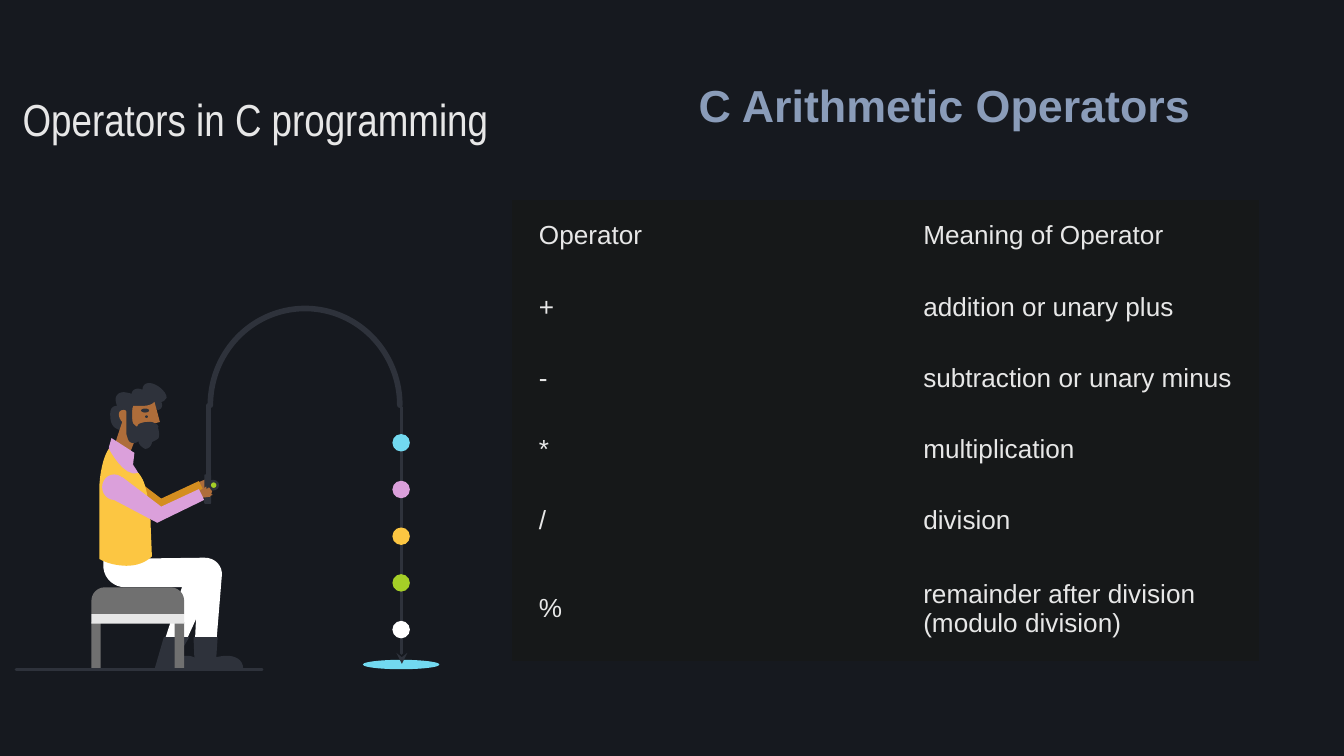
from dataclasses import dataclass

from lxml import etree
from pptx import Presentation
from pptx.dml.color import RGBColor
from pptx.enum.shapes import MSO_CONNECTOR, MSO_SHAPE
from pptx.enum.text import MSO_ANCHOR
from pptx.oxml.ns import qn
from pptx.util import Inches, Pt

RECT, OVAL, ARC = MSO_SHAPE.RECTANGLE, MSO_SHAPE.OVAL, MSO_SHAPE.ARC
ROUNDED = MSO_SHAPE.ROUNDED_RECTANGLE
ROUND_TOP = MSO_SHAPE.ROUND_2_SAME_RECTANGLE
STRAIGHT = MSO_CONNECTOR.STRAIGHT
MIDDLE = MSO_ANCHOR.MIDDLE
NO_TABLE_STYLE = "{2D5ABB26-0587-4C30-8999-92F81FD0307C}"
CURVE_STEPS = 8

COLORS = {
    "night": "16191F", "cell": "161819", "light": "E7E7E7", "steel": "8A9CB9",
    "dark": "2E323B", "skin": "AE6D3A", "white": "FFFFFF", "ochre": "D48E20",
    "yellow": "FCC642", "pink": "DBA0DB", "cyan": "72D9F0", "green": "A5CF27",
    "gray": "707070",
}


@dataclass(frozen=True)
class Outline:
    """Closed outline: a pair is a straight step, six numbers are a cubic curve."""
    color: str
    steps: tuple
    dy: float = 0
    rotation: float = 0


@dataclass(frozen=True)
class Preset:
    kind: int
    color: str
    x: float
    y: float
    w: float
    h: float
    corner: float | None = None


@dataclass(frozen=True)
class Stroke:
    start: tuple
    end: tuple
    width: float
    arrow: bool = False


ARM = ((0.91, 3.49), (0.81, 3.64), (1.17, 3.83), (1.52, 3.66), (1.48, 3.58), (1.2, 3.71))
HAND = ((1.54, 3.56), (1.53, 3.57, 1.49, 3.58, 1.48, 3.59), (1.49, 3.64), (1.56, 3.64),
        (1.56, 3.63, 1.58, 3.63, 1.58, 3.63), (1.57, 3.62), (1.58, 3.6), (1.57, 3.59),
        (1.57, 3.58, 1.56, 3.57, 1.56, 3.57), (1.54, 3.58))
BACK_LEG = ((1.38, 4.29), (1.22, 4.78), (1.38, 4.78), (1.58, 4.34))
BACK_BOOT = ((1.22, 4.74), (1.15, 4.98), (1.49, 4.98),
             (1.49, 4.9, 1.44, 4.88, 1.39, 4.88), (1.35, 4.88, 1.32, 4.89, 1.32, 4.89),
             (1.41, 4.74))
FRONT_LEG = ((1.52, 4.15), (0.77, 4.16), (0.77, 4.23), (0.78, 4.31, 0.85, 4.37, 0.93, 4.37),
             (1.47, 4.37), (1.45, 4.78), (1.61, 4.78), (1.65, 4.29),
             (1.66, 4.21, 1.6, 4.15, 1.52, 4.15))
FRONT_BOOT = ((1.44, 4.74), (1.45, 4.98), (1.81, 4.98),
              (1.81, 4.9, 1.74, 4.88, 1.69, 4.88), (1.65, 4.88, 1.61, 4.89, 1.61, 4.89),
              (1.62, 4.74))
HAIR = ((1.11, 2.85), (1.08, 2.85, 1.06, 2.87, 1.06, 2.9), (1.02, 2.88, 0.98, 2.9, 0.98, 2.93),
        (0.94, 2.92, 0.91, 2.91, 0.88, 2.93), (0.85, 2.96, 0.86, 2.98, 0.87, 3.02),
        (0.83, 3.02, 0.82, 3.05, 0.82, 3.08), (0.82, 3.14, 0.83, 3.18, 0.89, 3.2),
        (0.92, 3.2, 0.95, 3.19, 0.96, 3.18), (0.99, 3.15, 0.99, 3.11, 0.98, 3.07),
        (1.06, 3.06), (1.08, 3.05, 1.11, 3.04, 1.13, 3.04), (1.18, 3.05),
        (1.21, 3.04, 1.21, 3.01, 1.2, 2.99), (1.22, 2.99, 1.23, 2.97, 1.24, 2.96),
        (1.24, 2.91, 1.16, 2.85, 1.11, 2.85))
FACE = ((1.15, 2.99), (1.12, 3.02, 1.08, 3.02, 1.05, 3.02), (0.99, 3.02), (0.96, 3.09),
        (0.95, 3.07, 0.94, 3.05, 0.92, 3.05), (0.87, 3.05, 0.88, 3.11, 0.91, 3.14),
        (0.85, 3.32), (0.85, 3.32, 0.88, 3.41, 0.93, 3.41), (0.94, 3.41, 0.95, 3.4, 0.96, 3.39),
        (1.01, 3.26), (1.16, 3.26), (1.15, 3.15), (1.19, 3.14))
BEARD = ((0.94, 3.02), (0.94, 3.23), (0.95, 3.25, 0.95, 3.28, 0.97, 3.29),
         (0.98, 3.3, 1.02, 3.3, 1.03, 3.28), (1.03, 3.31, 1.06, 3.33, 1.08, 3.34),
         (1.11, 3.34, 1.13, 3.31, 1.13, 3.29), (1.15, 3.28, 1.17, 3.27, 1.18, 3.26),
         (1.19, 3.23, 1.18, 3.16, 1.15, 3.15), (1.13, 3.14, 1.11, 3.13, 1.09, 3.15),
         (1.06, 3.18, 1.03, 3.2, 0.99, 3.15), (0.98, 3.13, 0.98, 3.04, 0.99, 3.02))
SHIRT = ((0.83, 3.3), (0.78, 3.39, 0.75, 3.5, 0.75, 3.61), (0.75, 3.89), (1.11, 3.89),
         (1.11, 3.79), (1.1, 3.7, 1.08, 3.62, 1.03, 3.52), (0.98, 3.43, 0.91, 3.36, 0.83, 3.3))
COLLAR = ((0.83, 3.26), (0.81, 3.33), (0.99, 3.46), (1, 3.37))
VEST = ((0.81, 3.34), (0.78, 3.38, 0.75, 3.47, 0.74, 3.6), (0.74, 4.16),
        (0.79, 4.19, 0.87, 4.21, 0.94, 4.21), (1.01, 4.21, 1.08, 4.19, 1.13, 4.14),
        (1.12, 3.89), (1.12, 3.82, 1.11, 3.75, 1.1, 3.72), (1.09, 3.65, 1.08, 3.58, 1.03, 3.52),
        (0.92, 3.56, 0.81, 3.34, 0.81, 3.34))

ROD_AND_LINE = [
    Preset(OVAL, "cyan", 2.7, 4.91, 0.57, 0.07),
    Stroke((2.99, 3.03), (2.99, 4.94), 1.5, arrow=True),
    Stroke((1.55, 3.02), (1.55, 3.56), 3),
]
ANGLER = [
    Outline("skin", HAND),
    Preset(ROUNDED, "dark", 1.52, 3.53, 0.05, 0.22, 0.17),
    Outline("white", BACK_LEG), Outline("dark", BACK_BOOT),
    Outline("white", FRONT_LEG), Outline("dark", FRONT_BOOT),
    Outline("dark", HAIR), Outline("skin", FACE), Outline("dark", BEARD),
    Preset(OVAL, "dark", 1.05, 3.04, 0.06, 0.03),
    Preset(OVAL, "dark", 1.08, 3.09, 0.02, 0.02),
    Preset(OVAL, "dark", 1.02, 3.14, 0.16, 0.07),
    Outline("ochre", ARM), Outline("pink", SHIRT),
    Outline("pink", COLLAR), Outline("yellow", VEST),
    Preset(OVAL, "dark", 1.54, 3.57, 0.09, 0.08),
    Preset(OVAL, "green", 1.57, 3.59, 0.04, 0.04),
    Preset(OVAL, "pink", 0.76, 3.53, 0.18, 0.19),
    Outline("skin", HAND, dy=0.06, rotation=352.8),
    Outline("pink", ARM, dy=0.06),
]
STOOL = [
    Preset(RECT, "gray", 0.68, 4.63, 0.07, 0.35),
    Preset(RECT, "gray", 1.3, 4.63, 0.07, 0.35),
    Preset(ROUND_TOP, "gray", 0.68, 4.37, 0.69, 0.2, 0.5),
    Preset(RECT, "light", 0.68, 4.57, 0.69, 0.07),
    Stroke((0.12, 4.98), (1.95, 4.98), 1.5),
]
BEADS = [Preset(OVAL, color, 2.92, 3.23 + 1.39 * i / 4, 0.13, 0.13)
         for i, color in enumerate(("cyan", "pink", "yellow", "green", "white"))]

OPERATORS = [
    ("Operator", "Meaning of Operator"),
    ("+", "addition or unary plus"),
    ("-", "subtraction or unary minus"),
    ("*", "multiplication"),
    ("/", "division"),
    ("%", "remainder after division (modulo division)"),
]


def rgb(name: str) -> RGBColor:
    return RGBColor.from_string(COLORS[name])


def write(tf, text: str, *, size: float, color: str, font: str = "Arial", bold: bool = False) -> None:
    r = tf.paragraphs[0].add_run()
    r.text = text
    r.font.size, r.font.name, r.font.bold = Pt(size), font, bold
    r.font.color.rgb = rgb(color)


def add_heading(s, x: float, y: float, w: float, h: float, text: str, **style) -> None:
    tf = s.shapes.add_textbox(Inches(x), Inches(y), Inches(w), Inches(h)).text_frame
    tf.word_wrap, tf.vertical_anchor = True, MIDDLE
    tf.margin_left = tf.margin_right = tf.margin_top = tf.margin_bottom = Inches(0.1)
    write(tf, text, **style)


def flatten(steps: tuple) -> list[tuple[float, float]]:
    """Turn straight and curved steps into the points of a polygon."""
    points = []
    for step in steps:
        if len(step) == 2:
            points.append(step)
            continue
        controls = (points[-1], step[:2], step[2:4], step[4:])
        for i in range(1, CURVE_STEPS + 1):
            t = i / CURVE_STEPS
            weights = ((1 - t) ** 3, 3 * t * (1 - t) ** 2, 3 * t * t * (1 - t), t ** 3)
            points.append(tuple(sum(k * c[axis] for k, c in zip(weights, controls))
                                for axis in (0, 1)))
    return points


def fill_plain(sp, color: str) -> None:
    sp.shadow.inherit = False
    sp.fill.solid()
    sp.fill.fore_color.rgb = rgb(color)
    sp.line.fill.background()


def stroke_dark(sp, width: float) -> None:
    sp.line.color.rgb = rgb("dark")
    sp.line.width = Pt(width)
    sp.line._get_or_add_ln().set("cap", "rnd")


def add_outline(s, o: Outline) -> None:
    points = [(Inches(x), Inches(y + o.dy)) for x, y in flatten(o.steps)]
    builder = s.shapes.build_freeform(*points[0], scale=1.0)
    builder.add_line_segments(points[1:], close=True)
    sp = builder.convert_to_shape()
    sp.rotation = o.rotation
    fill_plain(sp, o.color)


def add_preset(s, o: Preset) -> None:
    sp = s.shapes.add_shape(o.kind, Inches(o.x), Inches(o.y), Inches(o.w), Inches(o.h))
    if o.corner is not None:
        sp.adjustments[0] = o.corner
    fill_plain(sp, o.color)


def add_stroke(s, o: Stroke) -> None:
    sp = s.shapes.add_connector(STRAIGHT, *(Inches(v) for v in o.start + o.end))
    stroke_dark(sp, o.width)
    if o.arrow:
        etree.SubElement(sp.line._get_or_add_ln(), qn("a:tailEnd"), type="stealth")
    etree.SubElement(sp._element.spPr, qn("a:effectLst"))


def add_rod_bend(s) -> None:
    sp = s.shapes.add_shape(ARC, Inches(1.55), Inches(2.31), Inches(1.44), Inches(1.41))
    sp.adjustments[0], sp.adjustments[1] = 162, 53.97
    sp.rotation = 270
    sp.shadow.inherit = False
    sp.fill.background()
    stroke_dark(sp, 3)


def add_operator_table(s) -> None:
    frame = s.shapes.add_table(len(OPERATORS), 2, Inches(3.81), Inches(1.49), Inches(5.56), Inches(3.42))
    table = frame.table
    table.first_row = table.horz_banding = False
    table._tbl.tblPr.find(qn("a:tableStyleId")).text = NO_TABLE_STYLE
    for column, width in zip(table.columns, (2.86, 2.7)):
        column.width = Inches(width)
    for i, texts in enumerate(OPERATORS):
        table.rows[i].height = Inches(0.78 if i == len(OPERATORS) - 1 else 0.53)
        for j, text in enumerate(texts):
            cell = table.cell(i, j)
            cell.fill.solid()
            cell.fill.fore_color.rgb = rgb("cell")
            cell.vertical_anchor = MIDDLE
            cell.margin_left = cell.margin_right = Inches(0.2)
            cell.margin_top = cell.margin_bottom = Inches(0.1)
            write(cell.text_frame, text, size=14, color="light")


def main() -> None:
    prs = Presentation()
    prs.slide_width, prs.slide_height = Inches(10), Inches(10) * 9 // 16
    s = prs.slides.add_slide(prs.slide_layouts[6])
    s.background.fill.solid()
    s.background.fill.fore_color.rgb = rgb("night")
    add_heading(s, 0.07, 0.04, 5.15, 1.68, "Operators in C programming",
                size=24, color="light", font="Arial Narrow")
    add_heading(s, 5.1, 0.49, 3.99, 0.58, "C Arithmetic Operators", size=24, color="steel", bold=True)
    draw = {Outline: add_outline, Preset: add_preset, Stroke: add_stroke}
    add_rod_bend(s)
    for part in ROD_AND_LINE + ANGLER + STOOL + BEADS:
        draw[type(part)](s, part)
    add_operator_table(s)
    prs.save("out.pptx")


if __name__ == "__main__":
    main()
